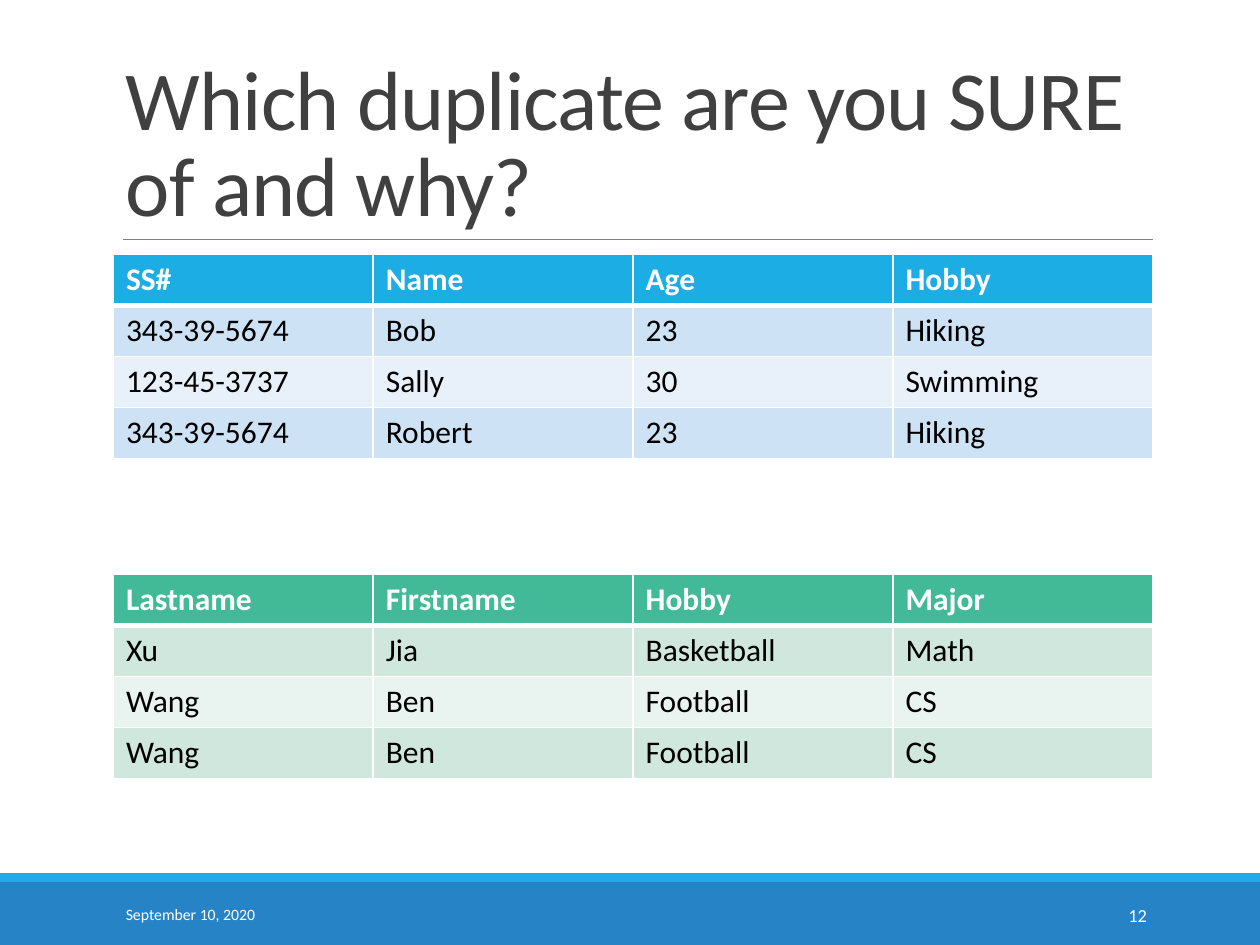
import pptx
import pptx.dml.color
import pptx.enum.shapes
import pptx.enum.text
import pptx.oxml
import pptx.oxml.ns
import pptx.util
from lxml import etree

Inches = pptx.util.Inches
Pt = pptx.util.Pt
RGBColor = pptx.dml.color.RGBColor
ANCHOR = pptx.enum.text.MSO_ANCHOR
ALIGN = pptx.enum.text.PP_ALIGN
qn = pptx.oxml.ns.qn

FONT = "Calibri"
WHITE = RGBColor(0xFF, 0xFF, 0xFF)
BLACK = RGBColor(0x00, 0x00, 0x00)
DARK_GRAY = RGBColor(0x40, 0x40, 0x40)
RULE_GRAY = RGBColor(0x80, 0x80, 0x80)
BAR_BLUE = RGBColor(0x26, 0x83, 0xC6)
SKY_BLUE = RGBColor(0x1C, 0xAD, 0xE4)
BLUE_BANDS = (RGBColor(0xCD, 0xE3, 0xF5), RGBColor(0xE8, 0xF1, 0xFA))
GREEN = RGBColor(0x42, 0xBA, 0x97)
GREEN_BANDS = (RGBColor(0xCF, 0xE7, 0xDD), RGBColor(0xE9, 0xF3, 0xEF))

LEFT, WIDTH = 0.9, 8.25
TABLE_HEIGHT = 1.62

PEOPLE = [
    ("SS#", "Name", "Age", "Hobby"),
    ("343-39-5674", "Bob", "23", "Hiking"),
    ("123-45-3737", "Sally", "30", "Swimming"),
    ("343-39-5674", "Robert", "23", "Hiking"),
]
STUDENTS = [
    ("Lastname", "Firstname", "Hobby", "Major"),
    ("Xu", "Jia", "Basketball", "Math"),
    ("Wang", "Ben", "Football", "CS"),
    ("Wang", "Ben", "Football", "CS"),
]


def add_run(p, text, size, color, bold=False):
    """Add one formatted run to a paragraph and return it."""
    r = p.add_run()
    r.text = text
    r.font.name = FONT
    r.font.size = Pt(size)
    r.font.bold = bold
    r.font.color.rgb = color
    return r


def add_text(slide, box, text, size, color, anchor=ANCHOR.MIDDLE, align=ALIGN.LEFT):
    """Add a wrapping one-paragraph text box and return its paragraph."""
    tf = slide.shapes.add_textbox(*map(Inches, box)).text_frame
    tf.word_wrap = True
    tf.vertical_anchor = anchor
    p = tf.paragraphs[0]
    p.alignment = align
    add_run(p, text, size, color)
    return p


def add_title(slide, text):
    """Add the tightly spaced title above the rule."""
    p = add_text(slide, (LEFT, 0.31, WIDTH, 1.59), text, 48, DARK_GRAY, ANCHOR.BOTTOM)
    p.line_spacing = 0.85
    p.runs[0].font._element.set("spc", "-50")


def add_bar(slide, top, height, color):
    """Add a full-width bar without an outline."""
    sp = slide.shapes.add_shape(
        pptx.enum.shapes.MSO_SHAPE.RECTANGLE, 0, Inches(top), Inches(10), Inches(height))
    sp.shadow.inherit = False
    sp.fill.solid()
    sp.fill.fore_color.rgb = color
    sp.line.fill.background()


def add_rule(slide, x1, x2, y):
    """Add a thin horizontal line."""
    line = slide.shapes.add_connector(
        pptx.enum.shapes.MSO_CONNECTOR.STRAIGHT, Inches(x1), Inches(y), Inches(x2), Inches(y))
    line.line.color.rgb = RULE_GRAY
    line.line.width = Pt(0.5)
    etree.SubElement(line._element.spPr, qn("a:effectLst"))


def set_borders(cell, top, bottom):
    """Give a cell white borders, with the top and bottom widths in points."""
    tc_pr = cell._tc.get_or_add_tcPr()
    for tag, width in (("lnL", 1), ("lnR", 1), ("lnT", top), ("lnB", bottom)):
        ln = etree.SubElement(tc_pr, qn(f"a:{tag}"), w=str(Pt(width)))
        fill = etree.SubElement(ln, qn("a:solidFill"))
        etree.SubElement(fill, qn("a:srgbClr"), val=str(WHITE))


def add_banded_table(slide, top, rows, header_color, bands):
    """Add a table with a bold header and alternating row fills."""
    table = slide.shapes.add_table(
        len(rows), len(rows[0]), Inches(LEFT), Inches(top),
        Inches(WIDTH), Inches(TABLE_HEIGHT)).table
    for i, values in enumerate(rows):
        header = i == 0
        for j, value in enumerate(values):
            cell = table.cell(i, j)
            set_borders(cell, 3 if i == 1 else 1, 3 if header else 1)
            cell.fill.solid()
            cell.fill.fore_color.rgb = header_color if header else bands[(i - 1) % 2]
            p = cell.text_frame.paragraphs[0]
            add_run(p, value, 18, WHITE if header else BLACK, header)


def main():
    """Build the slide and save it."""
    prs = pptx.Presentation()
    prs.slide_width, prs.slide_height = Inches(10), Inches(7.5)
    slide = prs.slides.add_slide(prs.slide_layouts[6])
    add_bar(slide, 7, 0.5, BAR_BLUE)
    add_bar(slide, 6.93, 0.07, SKY_BLUE)
    add_rule(slide, 0.98, 9.15, 1.9)
    add_title(slide, "Which duplicate are you SURE of and why?")
    add_banded_table(slide, 2.02, PEOPLE, SKY_BLUE, BLUE_BANDS)
    add_text(slide, (LEFT, 7.06, 2.03, 0.4), "September 10, 2020", 9, WHITE)
    add_text(slide, (8.12, 7.06, 1.08, 0.4), "12", 10.5, WHITE, align=ALIGN.RIGHT)
    add_banded_table(slide, 4.56, STUDENTS, GREEN, GREEN_BANDS)
    prs.save("out.pptx")


if __name__ == "__main__":
    main()
